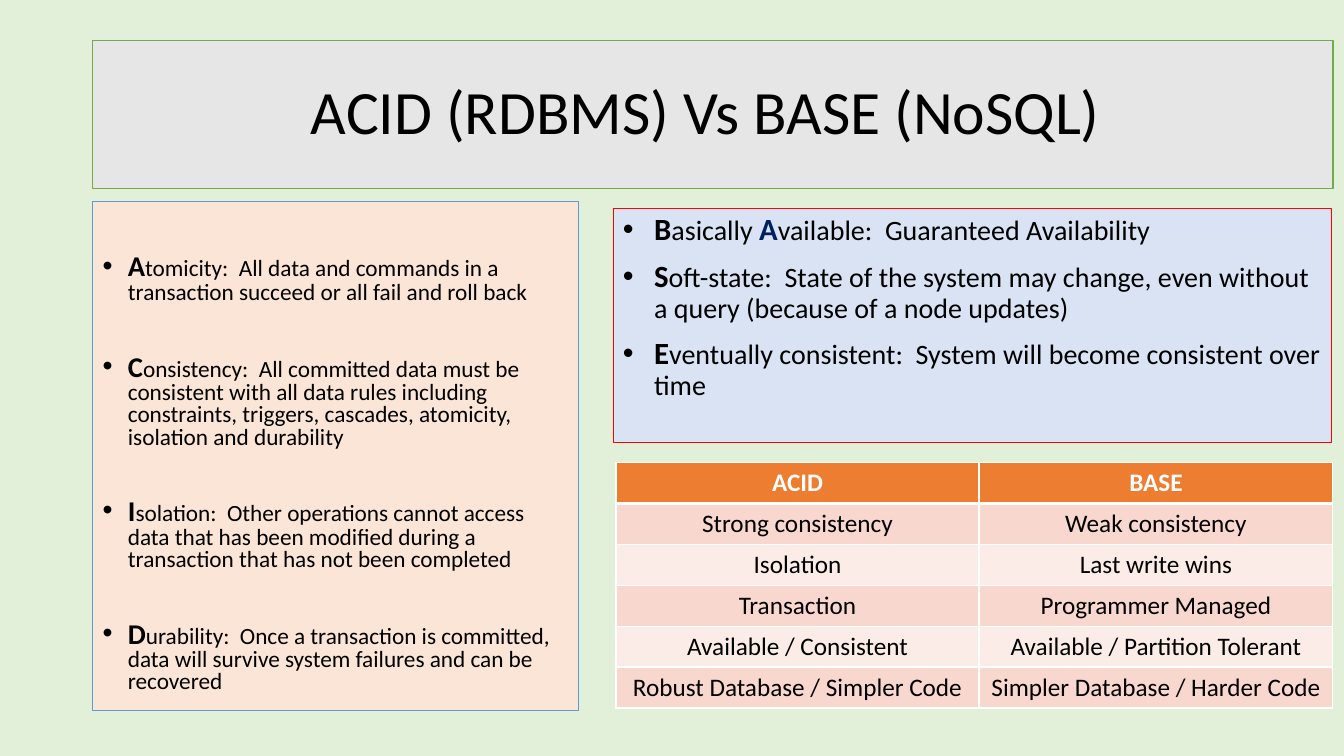
from lxml import etree
from pptx import Presentation
from pptx import util as u
from pptx.dml.color import RGBColor
from pptx.enum import shapes, text
from pptx.oxml import ns

PALE_GREEN = RGBColor(0xE2, 0xF0, 0xD9)
GREY = RGBColor(0xE7, 0xE6, 0xE6)
GREEN = RGBColor(0x70, 0xAD, 0x47)
PEACH = RGBColor(0xFB, 0xE5, 0xD6)
BLUE = RGBColor(0x5B, 0x9B, 0xD5)
PALE_BLUE = RGBColor(0xDA, 0xE3, 0xF3)
RED = RGBColor(0xFF, 0x00, 0x00)
NAVY = RGBColor(0x00, 0x20, 0x60)
ORANGE = RGBColor(0xED, 0x7D, 0x31)
ROSE = RGBColor(0xF8, 0xD7, 0xCE)
PALE_ROSE = RGBColor(0xFC, 0xEC, 0xE8)
BLACK = RGBColor(0x00, 0x00, 0x00)
WHITE = RGBColor(0xFF, 0xFF, 0xFF)

ACID_POINTS = [
    [("A", BLACK), "tomicity:  All data and commands in a transaction succeed or all fail and roll back"],
    [("C", BLACK), "onsistency:  All committed data must be consistent with all data rules including "
     "constraints, triggers, cascades, atomicity, isolation and durability"],
    [("I", BLACK), "solation:  Other operations cannot access data that has been modified during "
     "a transaction that has not been completed"],
    [("D", BLACK), "urability:  Once a transaction is committed, data will survive system failures "
     "and can be recovered "],
]
BASE_POINTS = [
    [("B", BLACK), "asically ", ("A", NAVY), "vailable:  Guaranteed Availability"],
    [("S", BLACK), "oft-state:  State of the system may change, even without a query "
     "(because of a node updates)"],
    [("E", BLACK), "ventually consistent:  System will become consistent over time"],
]
COMPARISON = [
    ("ACID", "BASE"),
    ("Strong consistency", "Weak consistency"),
    ("Isolation", "Last write wins"),
    ("Transaction", "Programmer Managed"),
    ("Available / Consistent", "Available / Partition Tolerant"),
    ("Robust Database / Simpler Code", "Simpler Database / Harder Code"),
]


def apply(target, formats):
    for name, value in formats.items():
        setattr(target, name, value)


class ComparisonSlide:
    font_name = "Calibri"

    def __init__(self, deck):
        self.slide = deck.slides.add_slide(deck.slide_layouts[5])
        background = self.slide.background.fill
        background.solid()
        background.fore_color.rgb = PALE_GREEN

    def run(self, paragraph, words, size, color=BLACK, bold=False):
        run = paragraph.add_run()
        run.text = words
        apply(run.font, {"name": self.font_name, "size": u.Pt(size), "bold": bold})
        run.font.color.rgb = color

    def panel(self, shape, box, fill, line, width):
        apply(shape, dict(zip(("left", "top", "width", "height"), map(u.Inches, box))))
        shape.fill.solid()
        shape.fill.fore_color.rgb = fill
        shape.line.color.rgb = line
        shape.line.width = u.Pt(width)

    def title(self, words, box):
        heading = self.slide.shapes.title
        self.panel(heading, box, GREY, GREEN, 1)
        apply(heading.text_frame, {"word_wrap": True, "auto_size": text.MSO_AUTO_SIZE.NONE,
                                   "vertical_anchor": text.MSO_ANCHOR.MIDDLE})
        paragraph = heading.text_frame.paragraphs[0]
        apply(paragraph, {"alignment": text.PP_ALIGN.CENTER, "line_spacing": 0.9})
        self.run(paragraph, words, 44)

    def bullets(self, points, box, colors, line_width, sizes, indent, spacing, gap, top_inset=0.05):
        panel = self.slide.shapes.add_shape(shapes.MSO_SHAPE.RECTANGLE, 0, 0, 0, 0)
        panel.shadow.inherit = False
        self.panel(panel, box, *colors, line_width)
        frame = panel.text_frame
        apply(frame, {"word_wrap": True, "vertical_anchor": text.MSO_ANCHOR.TOP,
                      "margin_top": u.Inches(top_inset)})
        initial_size, rest_size = sizes
        for index, point in enumerate(points):
            paragraph = frame.add_paragraph() if index else frame.paragraphs[0]
            properties = paragraph._p.get_or_add_pPr()
            properties.set("marL", str(u.Inches(indent)))
            properties.set("indent", str(-u.Inches(indent)))
            etree.SubElement(properties, ns.qn("a:buFont"), typeface="Arial")
            etree.SubElement(properties, ns.qn("a:buChar"), char="•")
            apply(paragraph, {"alignment": text.PP_ALIGN.LEFT, "line_spacing": spacing,
                              "space_before": u.Pt(gap if index else 0)})
            for part in point:
                if isinstance(part, tuple):
                    initial, color = part
                    self.run(paragraph, initial, initial_size, color, True)
                else:
                    self.run(paragraph, part, rest_size)

    def border(self, cell, side, width):
        properties = cell._tc.get_or_add_tcPr()
        line = etree.SubElement(properties, ns.qn("a:ln" + side), w=str(u.Pt(width)))
        fill = etree.SubElement(line, ns.qn("a:solidFill"))
        etree.SubElement(fill, ns.qn("a:srgbClr"), val=str(WHITE))

    def table(self, rows, box, widths):
        table = self.slide.shapes.add_table(len(rows), len(widths), *map(u.Inches, box)).table
        for column, width in zip(table.columns, widths):
            column.width = u.Inches(width)
        for index, row in enumerate(rows):
            header = index == 0
            fill = ORANGE if header else (ROSE if index % 2 else PALE_ROSE)
            for column, words in enumerate(row):
                cell = table.cell(index, column)
                for side in "LRTB":
                    self.border(cell, side, 3 if header and side == "B" else 1)
                cell.fill.solid()
                cell.fill.fore_color.rgb = fill
                paragraph = cell.text_frame.paragraphs[0]
                paragraph.alignment = text.PP_ALIGN.CENTER
                self.run(paragraph, words, 18, WHITE if header else BLACK, header)


def main():
    deck = Presentation()
    apply(deck, {"slide_width": u.Inches(13.33), "slide_height": u.Inches(7.5)})
    slide = ComparisonSlide(deck)
    slide.title("ACID (RDBMS) Vs BASE (NoSQL) ", (0.92, 0.4, 12.3, 1.47))
    slide.bullets(ACID_POINTS, (0.92, 2, 4.82, 5.05), (PEACH, BLUE), 1,
                  sizes=(20.4, 16.6), indent=0.25, spacing=0.8, gap=36, top_inset=0.53)
    slide.bullets(BASE_POINTS, (6.08, 2.07, 7.13, 2.32), (PALE_BLUE, RED), 0.5,
                  sizes=(22, 20), indent=0.31, spacing=0.9, gap=10)
    slide.table(COMPARISON, (6.11, 4.59, 7.11, 2.43), (3.6, 3.51))
    deck.save("out.pptx")


if __name__ == "__main__":
    main()
